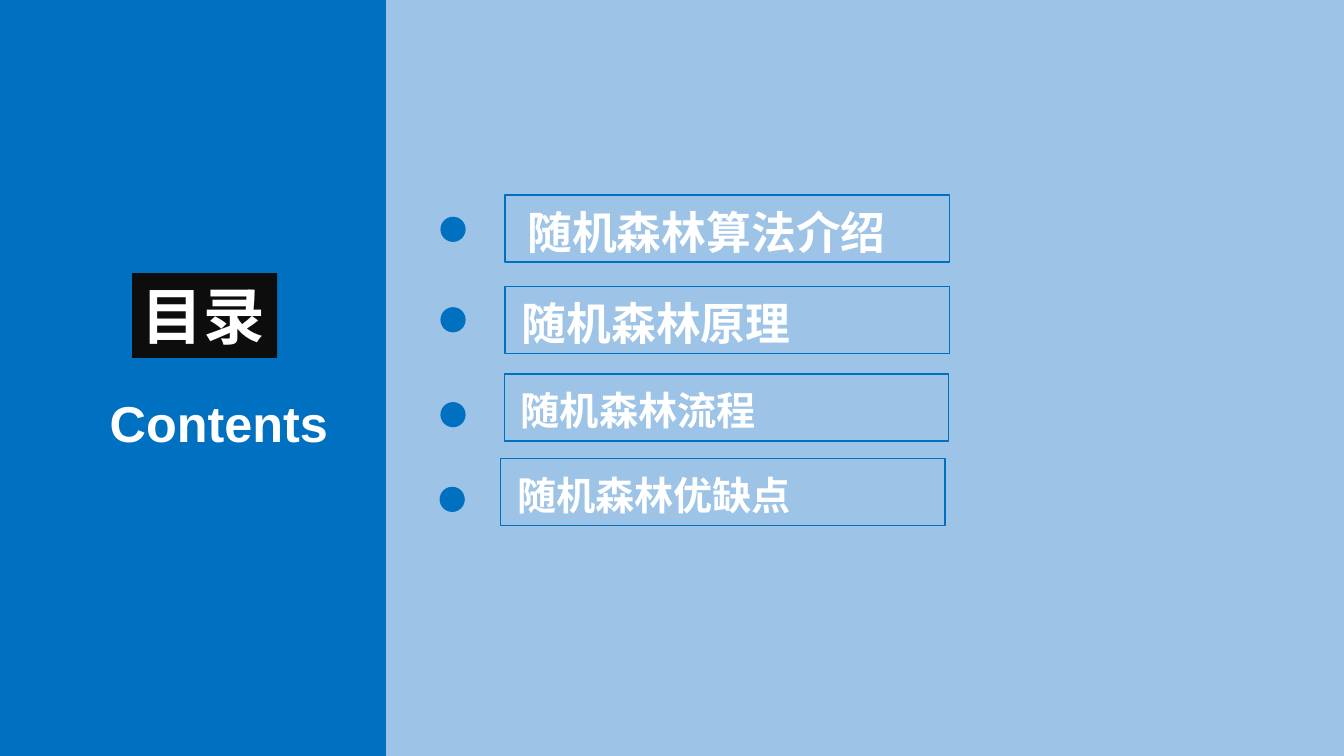
import pptx
import pptx.util
import pptx.dml.color
import pptx.enum.shapes
import pptx.enum.text
import pptx.oxml
import pptx.oxml.ns
import lxml.etree

Pt = pptx.util.Pt
KIND = pptx.enum.shapes.MSO_SHAPE
ANCHOR = pptx.enum.text.MSO_ANCHOR
ALIGN = pptx.enum.text.PP_ALIGN
BLUE, PALE, BLACK, WHITE = "0070C0", "9DC3E6", "0D0D0D", "FFFFFF"
CJK = "Noto Sans CJK SC"

deck = pptx.Presentation()
deck.slide_width, deck.slide_height = Pt(960), Pt(540)
slide = deck.slides.add_slide(deck.slide_layouts[6])


def draw(kind, box, fill):
    shape = slide.shapes.add_shape(kind, *[Pt(v) for v in box])
    shape.shadow.inherit = False
    shape.fill.solid()
    shape.fill.fore_color.rgb = pptx.dml.color.RGBColor.from_string(fill)
    shape.line.fill.background()
    return shape


def write(shape, text, size, font, wrap=False, anchor=ANCHOR.TOP,
          inset=7.2, lead=None, before=None):
    frame = shape.text_frame
    frame.word_wrap = wrap
    frame.vertical_anchor = anchor
    frame.margin_left = Pt(inset)
    para = frame.paragraphs[0]
    para.alignment = ALIGN.LEFT
    para.line_spacing = lead
    para.space_before = before
    run = para.add_run()
    run.text = text
    run.font.size = Pt(size)
    run.font.bold = True
    run.font.name = font
    run.font.color.rgb = pptx.dml.color.RGBColor.from_string(WHITE)
    # East Asian typeface
    east = lxml.etree.SubElement(run.font._element, pptx.oxml.ns.qn("a:ea"))
    east.set("typeface", CJK)


# Side panel and main panel
draw(KIND.RECTANGLE, (0, 0, 282, 540), BLUE)
draw(KIND.RECTANGLE, (275.8, 0, 684.2, 540), PALE)

# Title
label = slide.shapes.add_textbox(Pt(71.3), Pt(276.5), Pt(172), Pt(51))
write(label, "Contents", 36, "Arial")
title = draw(KIND.RECTANGLE, (94.3, 195.2, 103.6, 60.5), BLACK)
write(title, "目录", 44, CJK)

# Agenda: text, size, box left, box top, inset, dot left, dot top
items = [
    ("随机森林算法介绍", 32, 360.8, 139.4, 15.8, 314.6, 154.8),
    ("随机森林原理", 32, 360.8, 204.6, 11.8, 314.6, 219.4),
    ("随机森林流程", 28, 360.2, 267.2, 11.8, 314.6, 287.2),
    ("随机森林优缺点", 28, 357.6, 327.6, 11.8, 314, 347.7),
]
for text, size, left, top, inset, dot_x, dot_y in items:
    draw(KIND.OVAL, (dot_x, dot_y, 18, 18), BLUE)
    box = draw(KIND.RECTANGLE, (left, top, 317.5, 47.8), PALE)
    box.line.color.rgb = pptx.dml.color.RGBColor.from_string(BLUE)
    box.line.width = Pt(1)
    # Half-transparent fill
    tint = box._element.spPr.find(pptx.oxml.ns.qn("a:solidFill"))[0]
    alpha = lxml.etree.SubElement(tint, pptx.oxml.ns.qn("a:alpha"))
    alpha.set("val", "50000")
    write(box, text, size, "Calibri", wrap=True, anchor=ANCHOR.MIDDLE,
          inset=inset, lead=1.1, before=Pt(size * 0.2))

deck.save("out.pptx")
